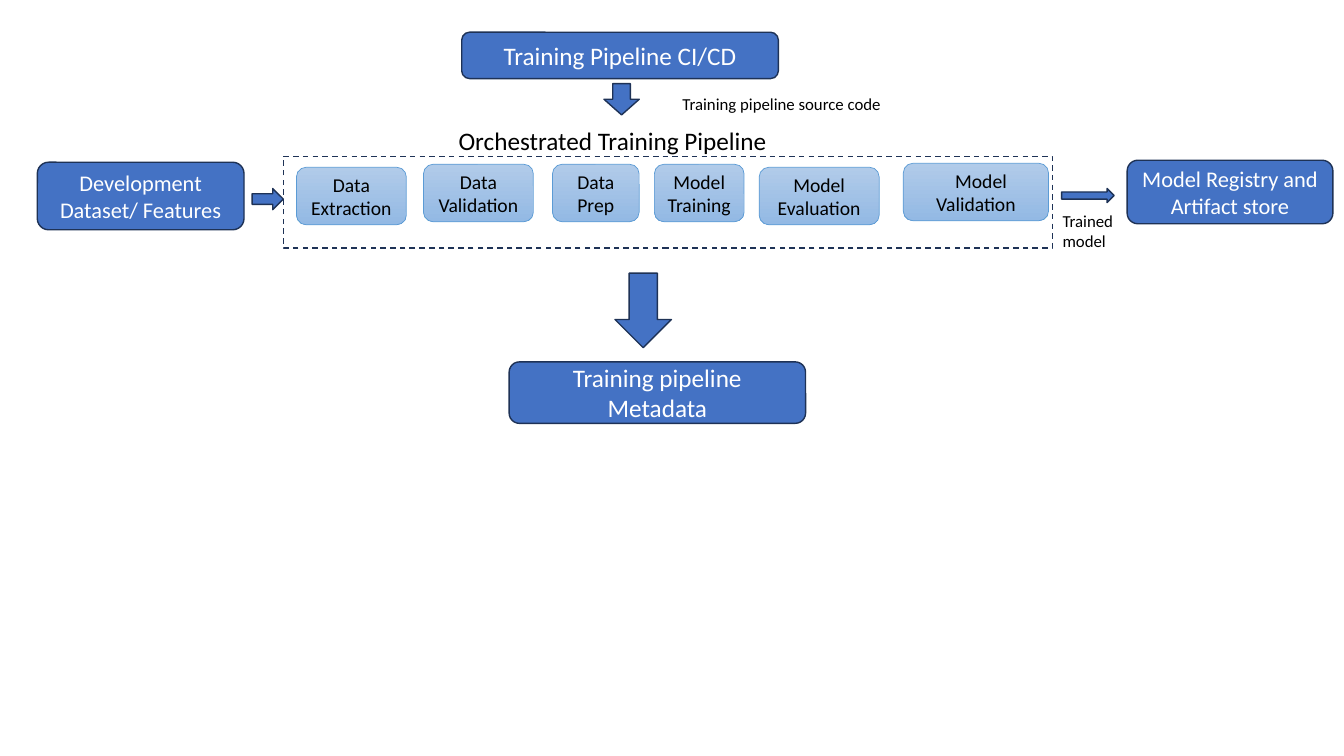
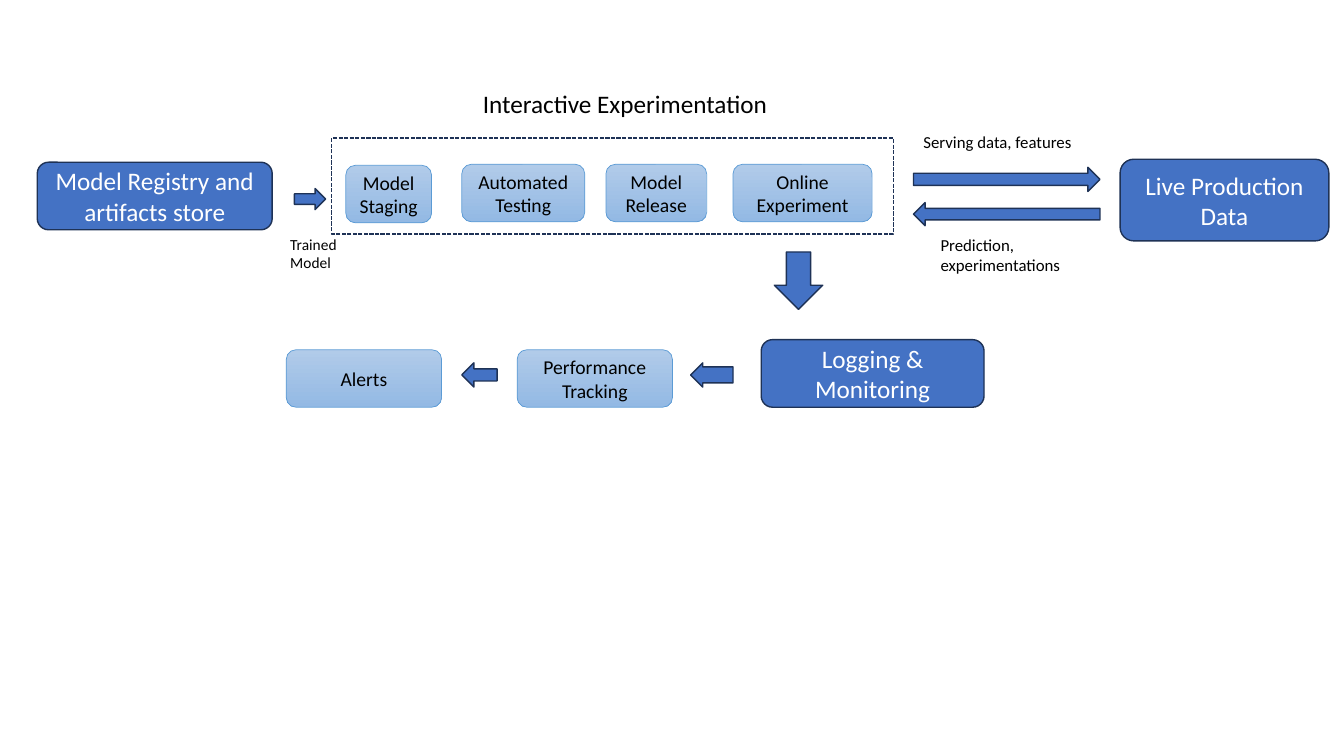
from pptx import Presentation
from pptx.dml.color import RGBColor
from pptx.enum.dml import MSO_LINE
from pptx.enum.shapes import MSO_SHAPE
from pptx.enum.text import MSO_ANCHOR, MSO_AUTO_SIZE, PP_ALIGN
from pptx.util import Inches, Pt

BLUE = RGBColor(0x44, 0x72, 0xC4)
NAVY = RGBColor(0x1E, 0x32, 0x56)
SKY = RGBColor(0x5B, 0x9B, 0xD5)
STEP_TOP = RGBColor(0xB1, 0xCB, 0xE9)
STEP_BOTTOM = RGBColor(0x93, 0xB9, 0xE4)
WHITE = RGBColor(0xFF, 0xFF, 0xFF)
BLACK = RGBColor(0, 0, 0)
FONT = "Calibri"
STEP_HEIGHT = 0.57
STEP_SIZE = 14

ARROWS = {
    "right": MSO_SHAPE.RIGHT_ARROW,
    "left": MSO_SHAPE.LEFT_ARROW,
    "down": MSO_SHAPE.DOWN_ARROW,
}

# Content: lengths in inches, text sizes in points
# blocks and labels: text, size, (left, top, width, height)
# steps: text, left, top, width[, first-line indent]
# arrows: direction, (left, top, width, height)[, shaft share]
SLIDES = [
    {
        "frame": ((2.81, 1.55, 7.63, 0.91), MSO_LINE.DASH),
        "blocks": [
            ("Training Pipeline CI/CD", 18, (4.58, 0.32, 3.14, 0.46)),
            ("Development Dataset/ Features", 16, (0.37, 1.61, 2.05, 0.67)),
            ("Model Registry and Artifact store", 16, (11.18, 1.59, 2.04, 0.63)),
            ("Training pipeline Metadata", 18, (5.05, 3.59, 2.94, 0.61)),
        ],
        "steps": [
            ("Data Extraction", 2.94, 1.66, 1.09),
            ("Data Validation", 4.2, 1.63, 1.09),
            ("Data Prep", 5.48, 1.63, 0.86),
            ("Model Training", 6.49, 1.63, 0.89),
            ("Model Evaluation", 7.53, 1.66, 1.19),
            ("Model Validation", 8.96, 1.62, 1.44, 0.1),
        ],
        "arrows": [
            ("down", (5.99, 0.83, 0.35, 0.31)),
            ("right", (2.5, 1.87, 0.31, 0.21)),
            ("right", (10.53, 1.87, 0.52, 0.14)),
            ("down", (6.1, 2.71, 0.56, 0.74)),
        ],
        "labels": [
            ("Orchestrated Training Pipeline", 18, (4.45, 1.19, 3.56, 0.4)),
            ("Training pipeline source code", 12, (6.67, 0.88, 2.39, 0.3)),
            ("Trained model", 12, (10.44, 2.04, 0.89, 0.5)),
        ],
    },
    {
        "frame": ((3.29, 1.37, 5.57, 0.95), MSO_LINE.SQUARE_DOT),
        "blocks": [
            ("Model Registry and artifacts store", 18, (0.37, 1.61, 2.33, 0.67)),
            ("Live Production Data", 18, (11.11, 1.58, 2.07, 0.81)),
            ("Logging & Monitoring", 18, (7.55, 3.37, 2.21, 0.67)),
        ],
        "steps": [
            ("Model Staging", 3.43, 1.64, 0.85),
            ("Automated Testing", 4.58, 1.63, 1.22),
            ("Model Release", 6.01, 1.63, 1),
            ("Online Experiment", 7.27, 1.63, 1.38),
            ("Performance Tracking", 5.13, 3.47, 1.54),
            ("Alerts", 2.84, 3.47, 1.54),
        ],
        "arrows": [
            ("right", (2.92, 1.87, 0.31, 0.21)),
            ("right", (9.06, 1.66, 1.85, 0.24)),
            ("left", (9.06, 2.01, 1.85, 0.23)),
            ("down", (7.68, 2.5, 0.48, 0.57)),
            ("left", (6.85, 3.6, 0.42, 0.24), 0.66),
            ("left", (4.58, 3.6, 0.35, 0.24)),
        ],
        "labels": [
            ("Interactive Experimentation", 18, (4.69, 0.83, 3.67, 0.4)),
            ("Trained Model", 11, (2.78, 2.28, 0.76, 0.77)),
            ("Serving data, features", 12, (9.06, 1.26, 1.75, 0.3)),
            ("Prediction, experimentations", 12, (9.23, 2.28, 1.75, 0.5)),
        ],
    },
]


def write(sp, text, size, color, align):
    tf = sp.text_frame
    tf.word_wrap = True
    p = tf.paragraphs[0]
    p.alignment = align
    r = p.add_run()
    r.text = text
    for name, value in {"name": FONT, "size": Pt(size)}.items():
        setattr(r.font, name, value)
    r.font.color.rgb = color
    return p


def add_shape(s, preset, box, line=NAVY, width=1):
    sp = s.shapes.add_shape(preset, *map(Inches, box))
    sp.shadow.inherit = False
    sp.line.color.rgb = line
    sp.line.width = Pt(width)
    return sp


def add_solid(s, preset, box):
    sp = add_shape(s, preset, box)
    sp.fill.solid()
    sp.fill.fore_color.rgb = BLUE
    return sp


def add_block(s, text, size, box):
    sp = add_solid(s, MSO_SHAPE.ROUNDED_RECTANGLE, box)
    sp.text_frame.vertical_anchor = MSO_ANCHOR.MIDDLE
    write(sp, text, size, WHITE, PP_ALIGN.CENTER)


def add_step(s, text, left, top, width, indent=0):
    box = (left, top, width, STEP_HEIGHT)
    sp = add_shape(s, MSO_SHAPE.ROUNDED_RECTANGLE, box, SKY, 0.5)
    sp.fill.gradient()
    sp.fill.gradient_angle = 270
    for stop, color in zip(sp.fill.gradient_stops, (STEP_TOP, STEP_BOTTOM)):
        stop.color.rgb = color
    sp.text_frame.vertical_anchor = MSO_ANCHOR.MIDDLE
    p = write(sp, text, STEP_SIZE, BLACK, PP_ALIGN.CENTER)
    if indent:
        p._p.get_or_add_pPr().set("indent", str(Inches(indent)))


def add_arrow(s, direction, box, shaft=0.5):
    sp = add_solid(s, ARROWS[direction], box)
    sp.adjustments[0] = shaft


def add_label(s, text, size, box):
    sp = s.shapes.add_textbox(*map(Inches, box))
    write(sp, text, size, BLACK, PP_ALIGN.LEFT)
    sp.text_frame.auto_size = MSO_AUTO_SIZE.SHAPE_TO_FIT_TEXT


def add_frame(s, box, dash):
    sp = add_shape(s, MSO_SHAPE.RECTANGLE, box)
    sp.fill.background()
    sp.line.dash_style = dash


def main():
    prs = Presentation()
    prs.slide_width, prs.slide_height = Inches(13.33), Inches(7.5)
    parts = {"blocks": add_block, "steps": add_step,
             "arrows": add_arrow, "labels": add_label}
    for content in SLIDES:
        s = prs.slides.add_slide(prs.slide_layouts[6])
        add_frame(s, *content["frame"])
        for part, add in parts.items():
            for item in content[part]:
                add(s, *item)
    prs.save("out.pptx")


if __name__ == "__main__":
    main()
